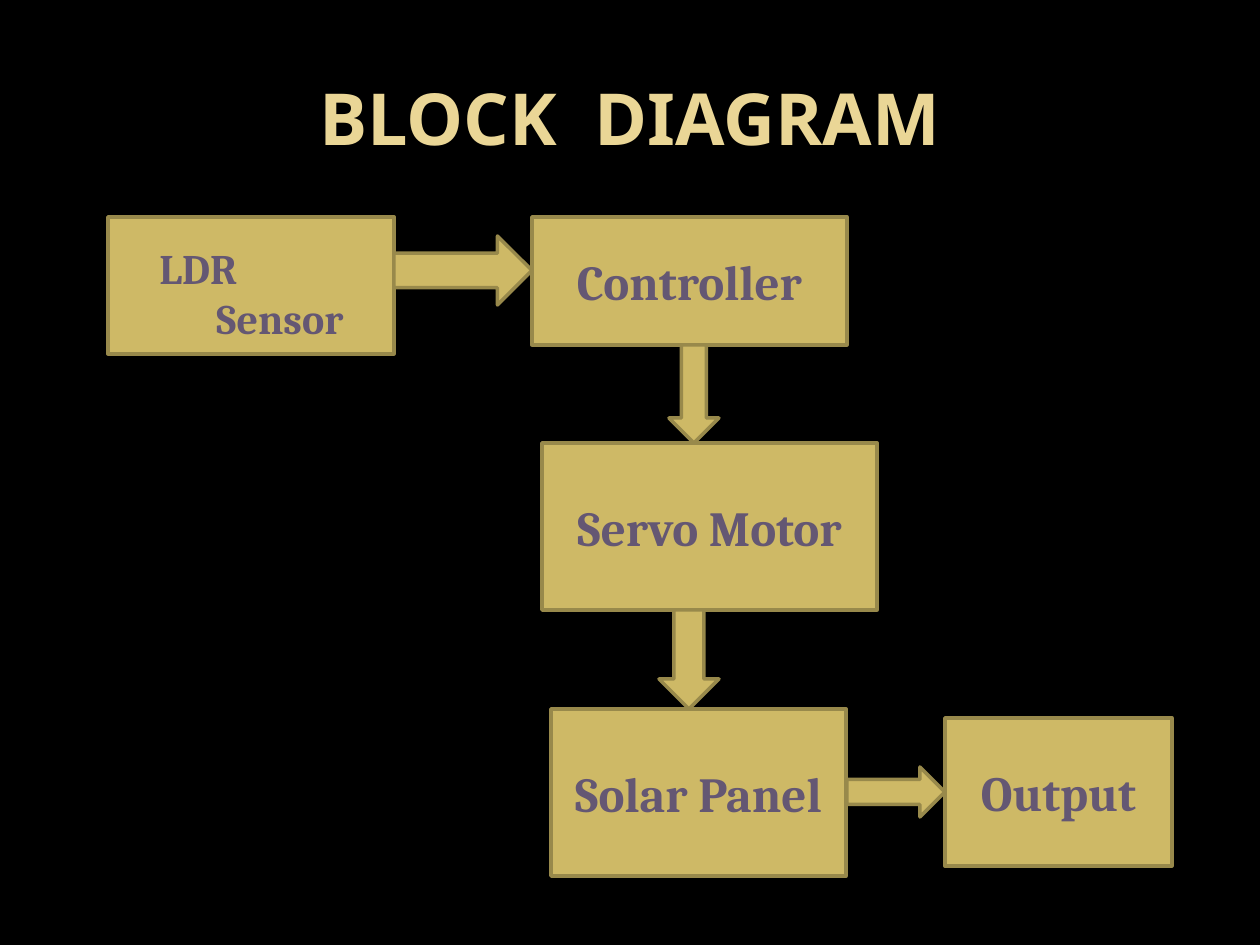
from pptx import Presentation
from pptx.dml.color import RGBColor
from pptx.enum.shapes import MSO_SHAPE as Kind
from pptx.enum.text import MSO_ANCHOR as Anchor, PP_ALIGN as Align
from pptx.util import Emu, Pt

BLACK = RGBColor(0x00, 0x00, 0x00)
CREAM = RGBColor(0xEA, 0xD6, 0x96)
GOLD = RGBColor(0xCE, 0xB9, 0x66)
OLIVE = RGBColor(0x98, 0x89, 0x4B)
PLUM = RGBColor(0x64, 0x57, 0x73)

TITLE = ("BLOCK  DIAGRAM", (63, 38, 1134, 157))
SENSOR = ("LDR Sensor", (128, 236, 256, 98))
BLOCKS = [
    ("", (108, 217, 286, 137)),
    ("Controller", (532, 217, 315, 128)),
    ("Servo Motor", (542, 443, 335, 167)),
    ("Solar Panel", (551, 709, 295, 167)),
    ("Output", (945, 718, 227, 148)),
]
ARROWS = [
    (Kind.RIGHT_ARROW, (394, 236, 138, 69)),
    (Kind.DOWN_ARROW, (669, 345, 50, 98)),
    (Kind.DOWN_ARROW, (659, 610, 60, 99)),
    (Kind.RIGHT_ARROW, (847, 767, 98, 50)),
]


def px(n):
    return Emu(round(n * 914400 / 126))


def write(frame, text, size, font, color, align, anchor):
    frame.word_wrap = True
    frame.vertical_anchor = anchor
    par = frame.paragraphs[0]
    par.alignment = align
    run = par.add_run()
    run.text = text
    run.font.size = Pt(size)
    run.font.name = font
    run.font.bold = True
    run.font.color.rgb = color
    return par


def draw(slide, kind, box):
    shape = slide.shapes.add_shape(kind, *map(px, box))
    shape.shadow.inherit = False
    shape.fill.solid()
    shape.fill.fore_color.rgb = GOLD
    shape.line.color.rgb = OLIVE
    shape.line.width = Pt(2)
    return shape


def main():
    deck = Presentation()
    deck.slide_width, deck.slide_height = px(1260), px(945)
    slide = deck.slides.add_slide(deck.slide_layouts[6])
    slide.background.fill.solid()
    slide.background.fill.fore_color.rgb = BLACK

    text, box = TITLE
    title = slide.shapes.add_textbox(*map(px, box))
    write(title.text_frame, text, 41, "Noto Sans", CREAM, Align.CENTER, Anchor.MIDDLE)

    for text, box in BLOCKS:
        shape = draw(slide, Kind.RECTANGLE, box)
        if text:
            write(shape.text_frame, text, 28, "Cambria", PLUM, Align.CENTER, Anchor.MIDDLE)

    for kind, box in ARROWS:
        draw(slide, kind, box)

    text, box = SENSOR
    label = slide.shapes.add_textbox(*map(px, box))
    par = write(label.text_frame, text, 24, "Cambria", PLUM, Align.LEFT, Anchor.TOP)
    par.space_before = Pt(5)
    props = par._p.get_or_add_pPr()
    props.set("marL", str(px(76)))
    props.set("indent", str(px(-57)))

    deck.save("out.pptx")


if __name__ == "__main__":
    main()
